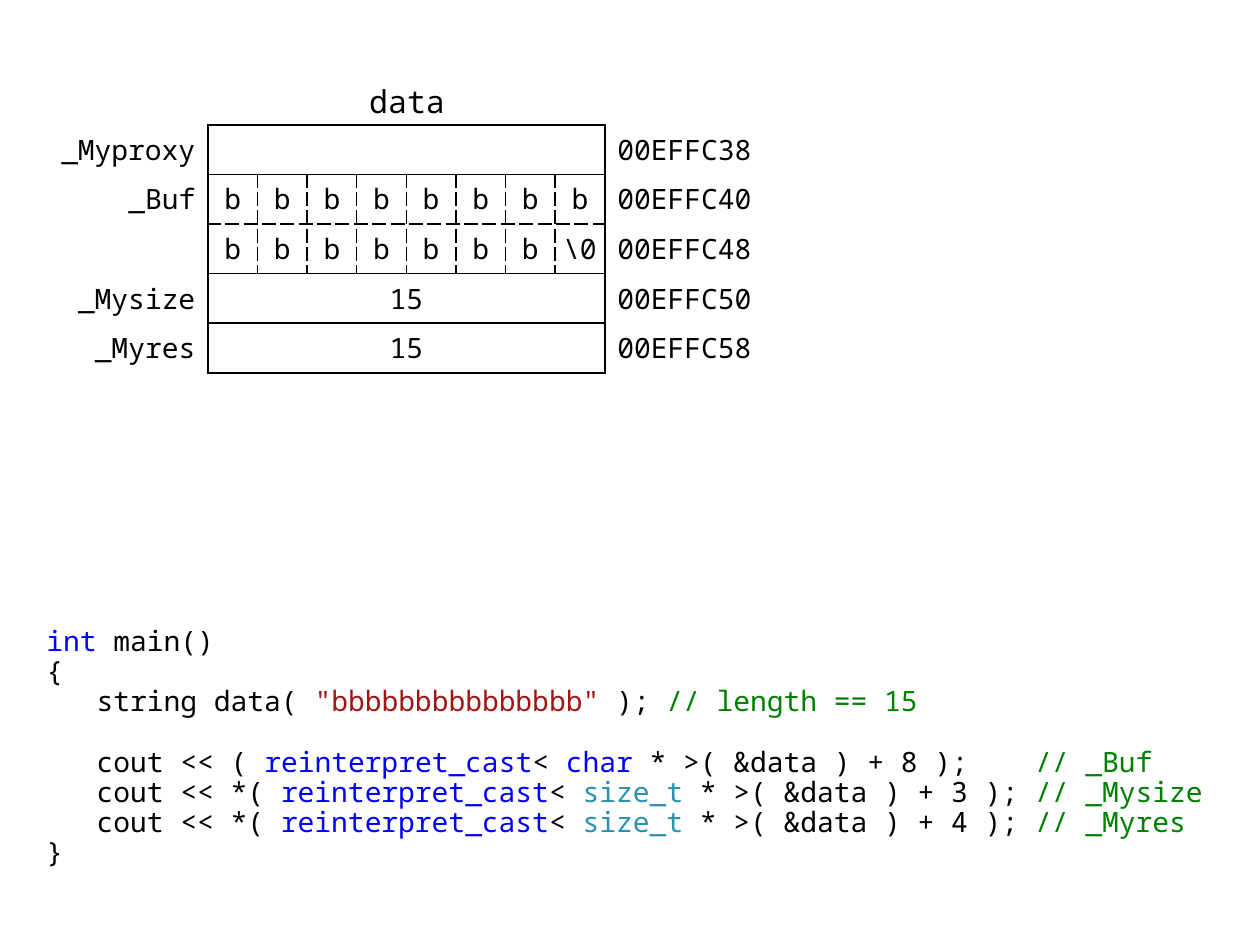
import pptx
import pptx.util
from lxml import etree
from pptx.dml.color import RGBColor
from pptx.enum.text import MSO_ANCHOR, PP_ALIGN
from pptx.oxml.ns import qn
from pptx.util import Inches

FONT = "Noto Sans Mono"
COLORS = {
    "text": "000000",
    "keyword": "0000FF",
    "string": "A31515",
    "comment": "008000",
    "type": "2B91AF",
}

# Member label, contents (one value or eight bytes), address
MEMORY = [
    ("_Myproxy", [""], "00EFFC38"),
    ("_Buf", ["b"] * 8, "00EFFC40"),
    ("", ["b"] * 7 + ["\\0"], "00EFFC48"),
    ("_Mysize", ["15"], "00EFFC50"),
    ("_Myres", ["15"], "00EFFC58"),
]
FIRST_BYTE, ADDRESS = 1, 9
BYTE_SIDE = Inches(1.97 / len(MEMORY))
SIDE_WIDTH = Inches(1.38)
SOLID, THIN, DASHED = (1.5, "solid"), (1, "solid"), (1, "sysDash")


def size_t_line(index, member):
    return [
        ("   cout << *( ", "text"), ("reinterpret_cast", "keyword"), ("< ", "text"),
        ("size_t ", "type"), (f"* >( &data ) + {index} );", "text"),
        (f" // {member}", "comment"),
    ]


CODE = [
    [("int", "keyword"), (" main()", "text")],
    [("{", "text")],
    [("   string data( ", "text"), ('"bbbbbbbbbbbbbbb" ', "string"),
     ("); ", "text"), ("// length == 15", "comment")],
    [],
    [("   cout << ( ", "text"), ("reinterpret_cast", "keyword"), ("< ", "text"),
     ("char", "keyword"), (" * >( &data ) + 8 );   ", "text"), (" // _Buf", "comment")],
    size_t_line(3, "_Mysize"),
    size_t_line(4, "_Myres"),
    [("}", "text")],
]


def style_font(font, size=16):
    font.name = FONT
    font.size = pptx.util.Pt(size)
    font.color.rgb = RGBColor.from_string(COLORS["text"])


def set_border(cell, side, line):
    """Draw one side (L, R, T or B) of a cell, or clear it when line is None."""
    border = etree.SubElement(cell._tc.get_or_add_tcPr(), qn(f"a:ln{side}"))
    if line is None:
        border.set("w", "0")
        etree.SubElement(border, qn("a:noFill"))
        return
    width, dash = line
    border.set("w", str(pptx.util.Pt(width)))
    fill = etree.SubElement(border, qn("a:solidFill"))
    etree.SubElement(fill, qn("a:srgbClr"), val=COLORS["text"])
    etree.SubElement(border, qn("a:prstDash"), val=dash)


def vertical_line(row, boundary):
    if boundary in (FIRST_BYTE, ADDRESS):
        return SOLID
    split = len(MEMORY[row][1]) > 1
    return DASHED if split and FIRST_BYTE < boundary < ADDRESS else None


def horizontal_line(boundary, column):
    if not FIRST_BYTE <= column < ADDRESS:
        return None
    if boundary in (0, len(MEMORY)):
        return SOLID
    return DASHED if boundary == 2 else THIN


def format_cell(cell, row, column):
    right = column + (cell.span_width if cell.is_merge_origin else 1)
    set_border(cell, "L", vertical_line(row, column))
    set_border(cell, "R", vertical_line(row, right))
    set_border(cell, "T", horizontal_line(row, column))
    set_border(cell, "B", horizontal_line(row + 1, column))
    cell.fill.background()


def write_cell(cell, text, alignment, left=0.08, right=0.08, vertical=0.04):
    cell.margin_left, cell.margin_right = Inches(left), Inches(right)
    cell.margin_top = cell.margin_bottom = Inches(vertical)
    cell.vertical_anchor = MSO_ANCHOR.MIDDLE
    cell.text = text
    paragraph = cell.text_frame.paragraphs[0]
    paragraph.alignment = alignment
    style_font(paragraph.font)


def add_memory_table(slide):
    row_count, column_count = len(MEMORY), ADDRESS + 1
    memory = slide.shapes.add_table(
        row_count, column_count, Inches(0.27), Inches(0.99),
        2 * SIDE_WIDTH + 8 * BYTE_SIDE, row_count * BYTE_SIDE).table
    memory.first_row = memory.horz_banding = False
    for index, column in enumerate(memory.columns):
        column.width = SIDE_WIDTH if index in (0, ADDRESS) else BYTE_SIDE
    for row, (label, contents, address) in enumerate(MEMORY):
        memory.rows[row].height = BYTE_SIDE
        if len(contents) == 1:
            memory.cell(row, FIRST_BYTE).merge(memory.cell(row, ADDRESS - 1))
        for column in range(column_count):
            format_cell(memory.cell(row, column), row, column)
        write_cell(memory.cell(row, 0), label, PP_ALIGN.RIGHT, 0.1, 0.1)
        for column, value in enumerate(contents, FIRST_BYTE):
            margins = (0, 0, 0) if value == "\\0" else ()
            write_cell(memory.cell(row, column), value, PP_ALIGN.CENTER, *margins)
        write_cell(memory.cell(row, ADDRESS), address, PP_ALIGN.LEFT, 0.1)


def add_text_frame(slide, left, top, width, height):
    frame = slide.shapes.add_textbox(
        Inches(left), Inches(top), Inches(width), Inches(height)).text_frame
    frame.word_wrap = True
    return frame


def add_heading(slide):
    heading = add_text_frame(slide, 2.44, 0.6, 1.58, 0.39).paragraphs[0]
    heading.text = "data"
    heading.alignment = PP_ALIGN.CENTER
    style_font(heading.font, 18)


def add_code(slide):
    listing = add_text_frame(slide, 0.27, 4.93, 9.45, 2.17)
    for number, tokens in enumerate(CODE):
        line = listing.add_paragraph() if number else listing.paragraphs[0]
        line.line_spacing = 0.9
        style_font(line.font)
        for text, kind in tokens:
            token = line.add_run()
            token.text = text
            token.font.color.rgb = RGBColor.from_string(COLORS[kind])


def main():
    presentation = pptx.Presentation()
    presentation.slide_width, presentation.slide_height = Inches(10), Inches(7.5)
    slide = presentation.slides.add_slide(presentation.slide_layouts[6])
    add_code(slide)
    add_memory_table(slide)
    add_heading(slide)
    presentation.save("out.pptx")


if __name__ == "__main__":
    main()
